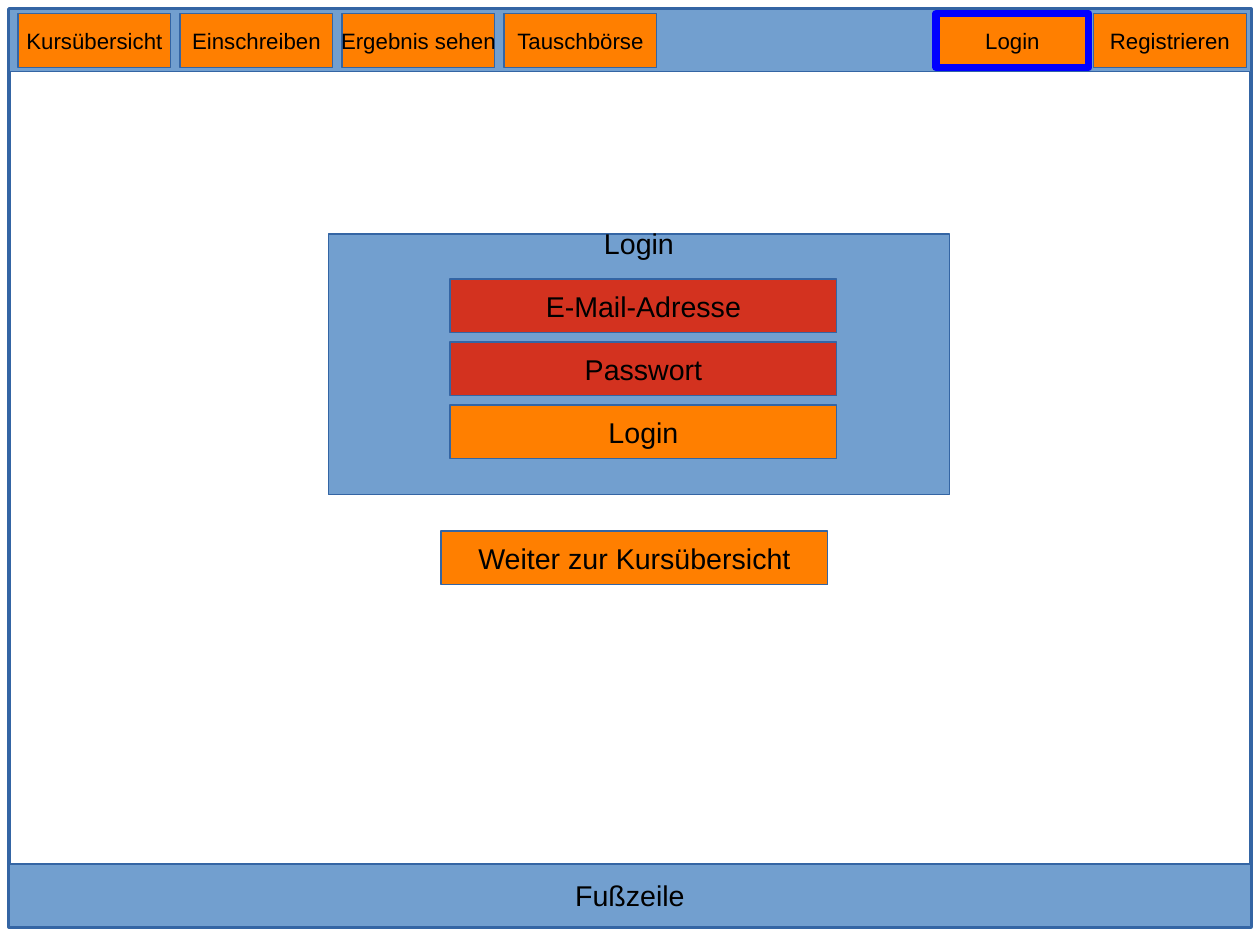
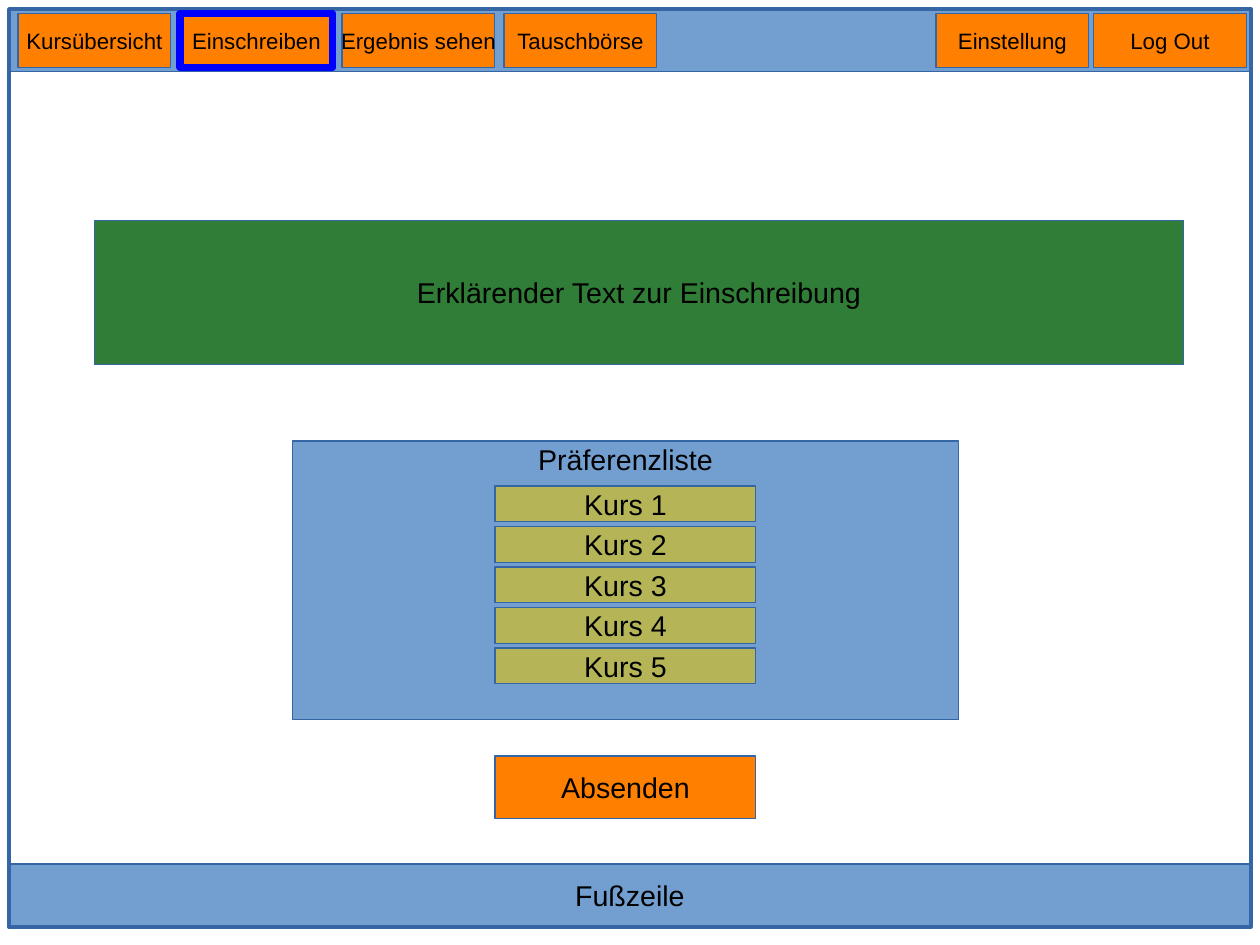
from pptx import Presentation
from pptx.dml.color import RGBColor
from pptx.enum.shapes import MSO_SHAPE
from pptx.enum.text import MSO_ANCHOR, PP_ALIGN
from pptx.util import Mm, Pt

BLUE = RGBColor(0x72, 0x9F, 0xCF)
EDGE = RGBColor(0x34, 0x65, 0xA4)
HIGHLIGHT = RGBColor(0x00, 0x00, 0xFF)
ORANGE = RGBColor(0xFF, 0x7F, 0x00)
RED = RGBColor(0xD3, 0x32, 0x1F)
GREEN = RGBColor(0x30, 0x7D, 0x37)
OLIVE = RGBColor(0xB5, 0xB5, 0x58)
BLACK = RGBColor(0x00, 0x00, 0x00)

COLUMNS, ROWS = 280, 210
CELL = Mm(1)
MARGIN = 2
BAND_WIDTH = COLUMNS - 2 * MARGIN
BAND_HEIGHT = 14
FOOTER_TOP = 192
FRAME_HEIGHT = FOOTER_TOP + BAND_HEIGHT - MARGIN
NAV_TOP, NAV_WIDTH, NAV_HEIGHT = 3, 34, 12
NAV_LEFT, NAV_STEP = 4, 36
NAV_RIGHT, NAV_RIGHT_STEP = 208, 35
HEADING_HEIGHT = 8

TEXT_FRAME_FORMAT = {
    "word_wrap": False,
    "vertical_anchor": MSO_ANCHOR.MIDDLE,
    "margin_left": Mm(2.5),
    "margin_right": Mm(2.5),
    "margin_top": Mm(1.25),
    "margin_bottom": Mm(1.25),
}
FONT_FORMAT = {"name": "Arial", "size": Pt(18)}
NAV_FONT_FORMAT = FONT_FORMAT | {"size": Pt(14)}


def apply_format(target, values):
    for name, value in values.items():
        setattr(target, name, value)


def add_text(shape, text, font_format):
    apply_format(shape.text_frame, TEXT_FRAME_FORMAT)
    paragraph = shape.text_frame.paragraphs[0]
    paragraph.alignment = PP_ALIGN.CENTER
    run = paragraph.add_run()
    run.text = text
    apply_format(run.font, font_format)
    run.font.color.rgb = BLACK


def add_box(slide, cells, fill=None, text=None, font_format=FONT_FORMAT,
            edge=EDGE, edge_width=0):
    shape = slide.shapes.add_shape(
        MSO_SHAPE.RECTANGLE, *(cell * CELL for cell in cells))
    shape.shadow.inherit = False
    if fill is None:
        shape.fill.background()
    else:
        shape.fill.solid()
        shape.fill.fore_color.rgb = fill
    shape.line.color.rgb = edge
    shape.line.width = Pt(edge_width)
    if text:
        add_text(shape, text, font_format)


def add_stack(slide, left, top, width, height, step, items):
    for row, (text, fill) in enumerate(items):
        add_box(slide, (left, top + row * step, width, height), fill, text)


def add_panel(slide, left, top, width, height, heading, heading_shift=0):
    add_box(slide, (left, top, width, height), BLUE)
    box = slide.shapes.add_textbox(
        left * CELL, (top + heading_shift) * CELL,
        width * CELL, HEADING_HEIGHT * CELL)
    add_text(box, heading, FONT_FORMAT)


def add_frame(slide):
    add_box(slide, (MARGIN, MARGIN, BAND_WIDTH, FRAME_HEIGHT), edge_width=2.3)


def add_bands(slide):
    for top, text in ((MARGIN, None), (FOOTER_TOP, "Fußzeile")):
        add_box(slide, (MARGIN, top, BAND_WIDTH, BAND_HEIGHT), BLUE, text)


def add_navigation(slide, account_labels, active):
    main_labels = ("Kursübersicht", "Einschreiben", "Ergebnis sehen", "Tauschbörse")
    groups = ((NAV_LEFT, NAV_STEP, main_labels),
              (NAV_RIGHT, NAV_RIGHT_STEP, account_labels))
    for left, step, labels in groups:
        for column, label in enumerate(labels):
            edge, edge_width = (HIGHLIGHT, 4.5) if label == active else (EDGE, 0)
            add_box(slide, (left + column * step, NAV_TOP, NAV_WIDTH, NAV_HEIGHT),
                    ORANGE, label, NAV_FONT_FORMAT, edge, edge_width)


def build_login(slide):
    add_frame(slide)
    add_bands(slide)
    add_navigation(slide, ("Login", "Registrieren"), "Login")
    add_panel(slide, 73, 52, 138, 58, "Login", heading_shift=-2)
    fields = (("E-Mail-Adresse", RED), ("Passwort", RED), ("Login", ORANGE))
    add_stack(slide, 100, 62, 86, 12, 14, fields)
    add_box(slide, (98, 118, 86, 12), ORANGE, "Weiter zur Kursübersicht")


def build_enrolment(slide):
    add_bands(slide)
    add_frame(slide)
    add_navigation(slide, ("Einstellung", "Log Out"), "Einschreiben")
    add_box(slide, (21, 49, 242, 32), GREEN, "Erklärender Text zur Einschreibung")
    add_panel(slide, 65, 98, 148, 62, "Präferenzliste")
    courses = [(f"Kurs {number}", OLIVE) for number in range(1, 6)]
    add_stack(slide, 110, 108, 58, 8, 9, courses)
    add_box(slide, (110, 168, 58, 14), ORANGE, "Absenden")


def main():
    presentation = Presentation()
    presentation.slide_width = COLUMNS * CELL
    presentation.slide_height = ROWS * CELL
    blank_layout = presentation.slide_layouts[6]
    for build in (build_login, build_enrolment):
        build(presentation.slides.add_slide(blank_layout))
    presentation.save("out.pptx")


if __name__ == "__main__":
    main()
